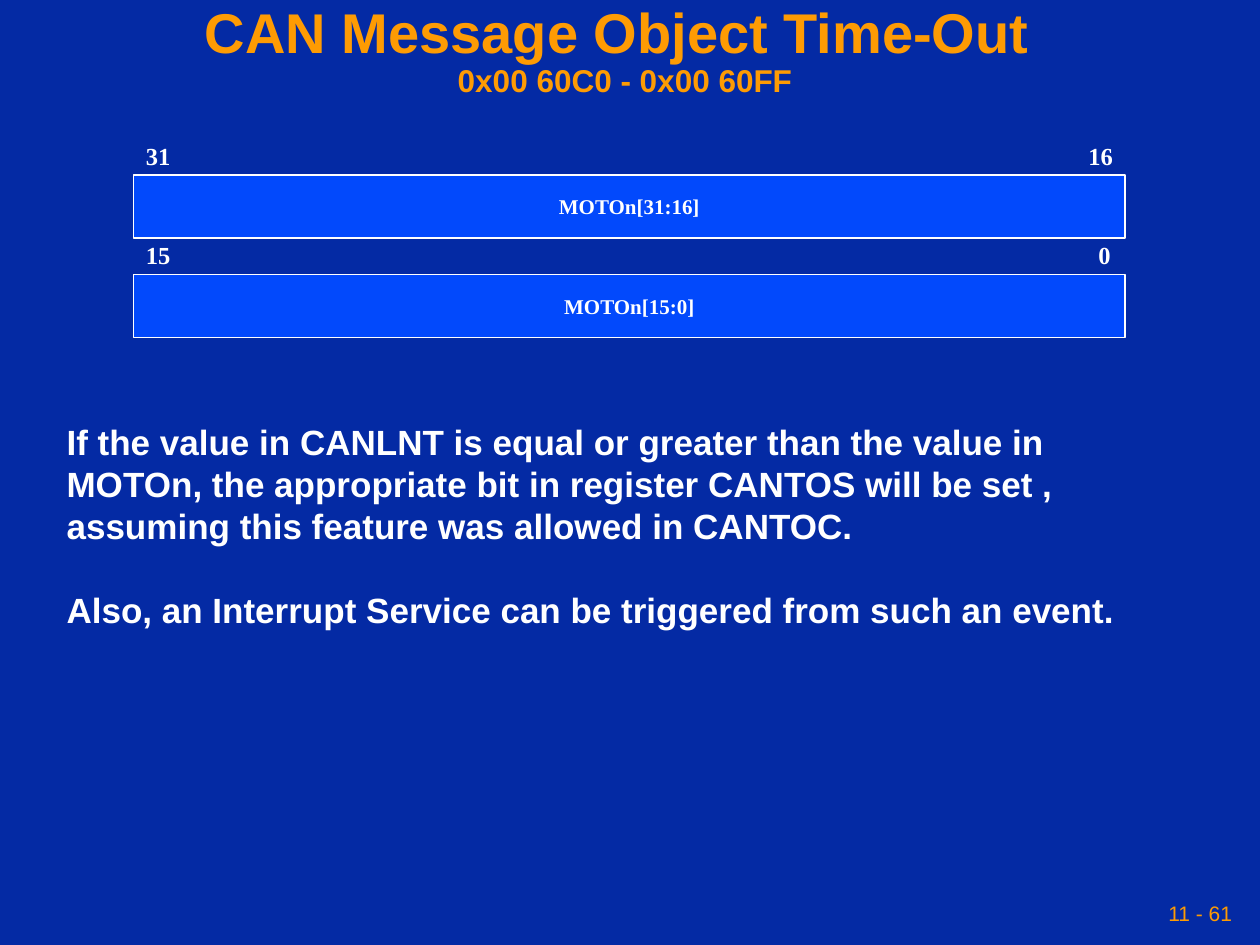
from dataclasses import dataclass

from pptx import Presentation
from pptx.dml.color import RGBColor as Rgb
from pptx.enum.shapes import MSO_SHAPE as Shape
from pptx.enum.text import MSO_ANCHOR as Anchor, MSO_AUTO_SIZE as AutoSize, PP_ALIGN as Align
from pptx.util import Inches, Pt


@dataclass(frozen=True)
class Theme:
    background: Rgb = Rgb(0x04, 0x2A, 0xA4)
    accent: Rgb = Rgb(0xFE, 0x9B, 0x03)
    register: Rgb = Rgb(0x02, 0x49, 0xFC)
    white: Rgb = Rgb(0xFF, 0xFF, 0xFF)
    sans: str = "Arial"
    serif: str = "Times New Roman"
    title: int = 32
    subtitle: int = 18
    body: int = 20
    bit: int = 14
    small: int = 12


@dataclass(frozen=True)
class Style:
    font: str
    size: int
    color: Rgb
    bold: bool = True
    align: Align = Align.LEFT
    anchor: Anchor = Anchor.TOP
    wrap: bool = False
    grow: bool = False
    inset: float = 0.1


@dataclass(frozen=True)
class Register:
    high_bit: str
    low_bit: str
    name: str
    top: float
    low_left: float
    low_width: float


THEME = Theme()
TITLE = Style(THEME.sans, THEME.title, THEME.accent, align=Align.CENTER,
              anchor=Anchor.MIDDLE, wrap=True, inset=0.05)
BODY = Style(THEME.sans, THEME.body, THEME.white, wrap=True)
BIT = Style(THEME.serif, THEME.bit, THEME.white, grow=True)
FIELD = Style(THEME.serif, THEME.small, THEME.white, align=Align.CENTER,
              anchor=Anchor.MIDDLE)
FOOTER = Style(THEME.sans, THEME.small, THEME.accent, bold=False,
               align=Align.RIGHT, anchor=Anchor.MIDDLE, inset=0.05)

REGISTER_LEFT, REGISTER_WIDTH, REGISTER_HEIGHT = 1.06, 7.87, 0.5
BIT_RISE, BIT_WIDTH, BIT_HEIGHT = 0.32, 0.4, 0.34
REGISTERS = (
    Register("31", "16", "MOTOn[31:16]", 1.39, 8.54, BIT_WIDTH),
    Register("15", "0", "MOTOn[15:0]", 2.18, 8.62, 0.3),
)
BODY_TEXT = (
    "If the value in CANLNT is equal or greater than the value in MOTOn, "
    "the appropriate bit in register CANTOS will be set , "
    "assuming this feature was allowed in CANTOC.\n"
    "Also, an Interrupt Service can be triggered from such an event."
)


def write(box, text: str, style: Style) -> None:
    frame = box.text_frame
    frame.text = text
    frame.word_wrap = style.wrap
    frame.auto_size = AutoSize.SHAPE_TO_FIT_TEXT if style.grow else AutoSize.NONE
    frame.vertical_anchor = style.anchor
    frame.margin_left = frame.margin_right = Inches(style.inset)
    frame.margin_top = frame.margin_bottom = Inches(0.05)
    for para in frame.paragraphs:
        para.alignment = style.align
        for span in para.runs:
            span.font.name = style.font
            span.font.size = Pt(style.size)
            span.font.bold = style.bold
            span.font.color.rgb = style.color


def add_text(page, left: float, top: float, width: float, height: float,
             text: str, style: Style):
    box = page.shapes.add_textbox(Inches(left), Inches(top), Inches(width), Inches(height))
    write(box, text, style)
    return box


def add_register(page, register: Register) -> None:
    box = page.shapes.add_shape(Shape.RECTANGLE, Inches(REGISTER_LEFT), Inches(register.top),
                                Inches(REGISTER_WIDTH), Inches(REGISTER_HEIGHT))
    box.shadow.inherit = False
    box.fill.solid()
    box.fill.fore_color.rgb = THEME.register
    box.line.color.rgb = THEME.white
    box.line.width = Pt(1)
    write(box, register.name, FIELD)
    bit_top = register.top - BIT_RISE
    add_text(page, REGISTER_LEFT, bit_top, BIT_WIDTH, BIT_HEIGHT, register.high_bit, BIT)
    add_text(page, register.low_left, bit_top, register.low_width, BIT_HEIGHT,
             register.low_bit, BIT)


def main() -> None:
    """Build the CAN message object time-out slide."""
    deck = Presentation()
    deck.slide_width, deck.slide_height = Inches(10), Inches(7.5)
    page = deck.slides.add_slide(deck.slide_layouts[6])
    page.background.fill.solid()
    page.background.fill.fore_color.rgb = THEME.background

    title = add_text(page, 0, 0, 9.92, 0.83,
                     "CAN Message Object Time-Out \v0x00 60C0 - 0x00 60FF", TITLE)
    heading = title.text_frame.paragraphs[0]
    heading.line_spacing = 0.9
    heading.runs[1].font.size = Pt(THEME.subtitle)

    for register in REGISTERS:
        add_register(page, register)

    body = add_text(page, 0.43, 3.29, 8.92, 2.1, BODY_TEXT, BODY)
    body.text_frame.paragraphs[1].space_before = Pt(24)
    add_text(page, 6.83, 7.08, 3, 0.33, "11 - 61", FOOTER)
    deck.save("out.pptx")


if __name__ == "__main__":
    main()
